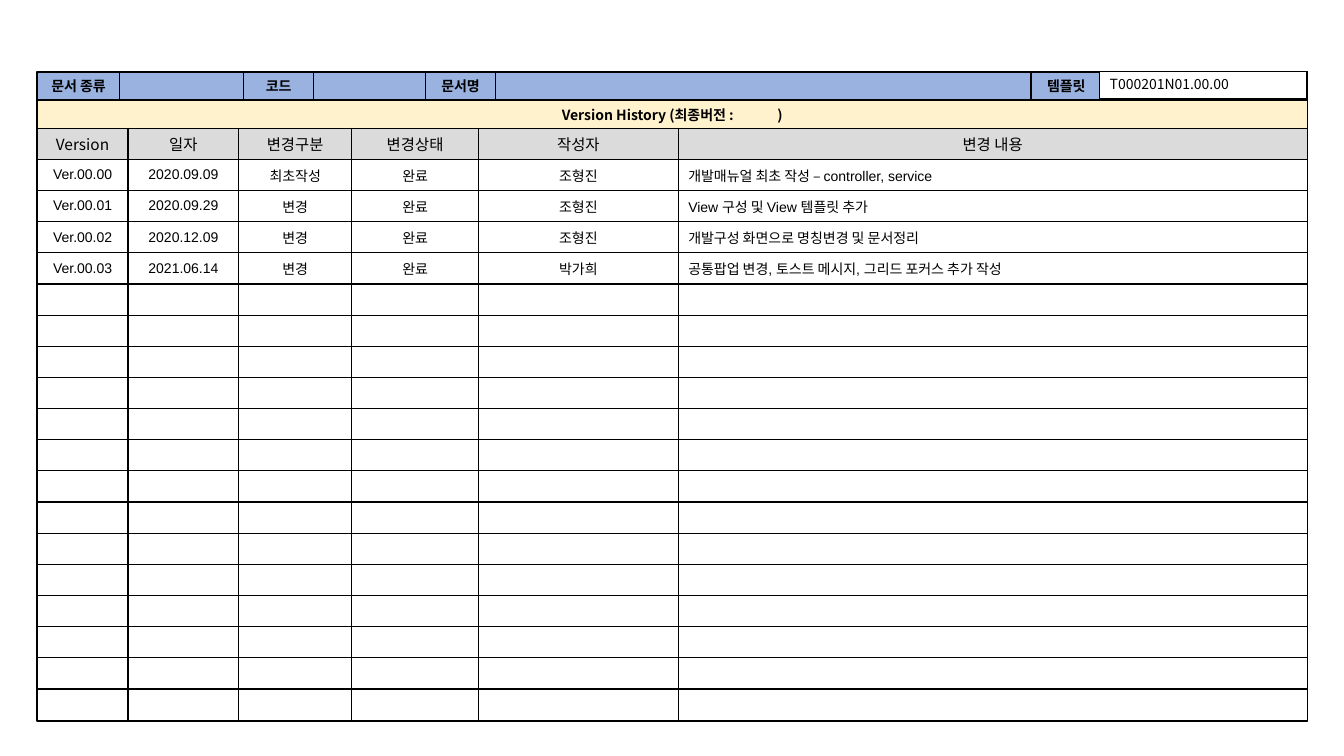
from dataclasses import dataclass
from lxml import etree
from pptx import Presentation
from pptx import util as u
from pptx.dml.color import RGBColor
from pptx.enum import shapes, text
from pptx.oxml.ns import qn


@dataclass(frozen=True)
class Theme:
    ink: str = "000000"
    paper: str = "FFFFFF"
    frame: str = "E5F8FF"
    label: str = "99B2DF"
    banner: str = "FFF2CC"
    heading: str = "DBDBDB"
    korean: str = "Noto Sans CJK KR"
    latin: str = "Arial"
    body_size: float = 10
    heading_size: float = 11
    line: float = 1
    thin_line: float = 0.75


class Sheet:
    """Draws styled boxes and tables on one slide."""

    def __init__(self, slide, theme):
        self.slide, self.theme = slide, theme

    def add_runs(self, p, content, font, size, bold=False, gap=0):
        for part in content if isinstance(content, tuple) else (content,):
            r = p.add_run()
            r.text = part
            r.font.name, r.font.size, r.font.bold = font, u.Pt(size), bold
            r.font.color.rgb = RGBColor.from_string(self.theme.ink)
            rpr = r._r.get_or_add_rPr()
            latin = rpr.find(qn("a:latin"))
            latin.addnext(etree.Element(qn("a:ea"), typeface=self.theme.korean))
            if part == " ":
                rpr.set("spc", str(gap * 100))

    def box(self, left, top, width, height, fill, line, content=None):
        sp = self.slide.shapes.add_shape(
            shapes.MSO_SHAPE.RECTANGLE, *map(u.Pt, (left, top, width, height)))
        sp.shadow.inherit = False
        sp.fill.solid()
        sp.fill.fore_color.rgb = RGBColor.from_string(fill)
        sp.line.color.rgb = RGBColor.from_string(self.theme.ink)
        sp.line.width = u.Pt(line)
        if content:
            tf = sp.text_frame
            tf.word_wrap = True
            tf.vertical_anchor = text.MSO_ANCHOR.MIDDLE
            p = tf.paragraphs[0]
            p.alignment = text.PP_ALIGN.LEFT
            p.line_spacing = 0.9
            self.add_runs(p, content, self.theme.korean, self.theme.body_size)

    def border(self, cell):
        tcpr = cell._tc.get_or_add_tcPr()
        for side in ("a:lnL", "a:lnR", "a:lnT", "a:lnB"):
            ln = etree.SubElement(tcpr, qn(side), w=str(u.Pt(self.theme.line)))
            fill = etree.SubElement(ln, qn("a:solidFill"))
            etree.SubElement(fill, qn("a:srgbClr"), val=self.theme.ink)

    def cell(self, cell, content, fill, left_aligned, **style):
        self.border(cell)
        cell.fill.solid()
        cell.fill.fore_color.rgb = RGBColor.from_string(fill)
        cell.margin_top = cell.margin_bottom = 0
        cell.vertical_anchor = text.MSO_ANCHOR.MIDDLE
        p = cell.text_frame.paragraphs[0]
        p.alignment = text.PP_ALIGN.LEFT if left_aligned else text.PP_ALIGN.CENTER
        if content:
            self.add_runs(p, content, **style)
        else:
            etree.SubElement(p._p, qn("a:endParaRPr"), sz=str(style["size"] * 100))

    def table(self, left, top, widths, row_height, rows, styles, left_column=None):
        frame = self.slide.shapes.add_table(
            len(rows), len(widths), u.Pt(left), u.Pt(top),
            u.Pt(sum(widths)), u.Pt(row_height * len(rows)))
        table = frame.table
        table.first_row = table.horz_banding = False
        for column, width in zip(table.columns, widths):
            column.width = u.Pt(width)
        for i, (row, style) in enumerate(zip(rows, styles)):
            table.rows[i].height = u.Pt(row_height)
            for j, content in enumerate(row):
                self.cell(table.cell(i, j), content,
                          left_aligned=i > 0 and j == left_column, **style)


LEFT, TOP, WIDTH = 26.6, 51.4, 907.2
BANNER_TOP, HISTORY_TOP, ROW_HEIGHT, ROW_COUNT = 71.4, 91.6, 22.28, 19
LABEL_WIDTHS = [59, 88.6, 49.7, 79.9, 50.4, 382.3, 50.4, 146.9]
HISTORY_WIDTHS = [64.8, 79.2, 80.6, 90.7, 142.6, 449.3]

LABELS = ["문서 종류", "", "코드", "", "문서명", "", "템플릿", ""]
BANNER = ("Version History (최종버전 :", " ", ")")
HEADINGS = ["Version", "일자", "변경구분", "변경상태", "작성자", "변경 내용"]
HISTORY = [
    ["Ver.00.00", "2020.09.09", "최초작성", "완료", "조형진",
     "개발매뉴얼 최초 작성 – controller, service"],
    ["Ver.00.01", "2020.09.29", "변경", "완료", "조형진",
     "View 구성 및 View 템플릿 추가"],
    ["Ver.00.02", "2020.12.09", "변경", "완료", "조형진",
     "개발구성 화면으로 명칭변경 및 문서정리"],
    ["Ver.00.03", "2021.06.14", "변경", "완료", "박가희",
     "공통팝업 변경, 토스트 메시지, 그리드 포커스 추가 작성"],
]


def main():
    prs = Presentation()
    prs.slide_width, prs.slide_height = u.Pt(960), u.Pt(540)
    theme = Theme()
    s = Sheet(prs.slides.add_slide(prs.slide_layouts[6]), theme)

    bold = dict(font=theme.korean, size=theme.body_size, bold=True)
    heading = dict(fill=theme.heading, font=theme.korean, size=theme.heading_size)
    entry = dict(fill=theme.paper, font=theme.latin, size=theme.body_size)
    blanks = [[""] * len(HEADINGS)] * (ROW_COUNT - 1 - len(HISTORY))

    s.box(LEFT, TOP, WIDTH, 463.6, theme.frame, theme.line)
    s.table(LEFT, TOP, LABEL_WIDTHS, 20, [LABELS], [dict(bold, fill=theme.label)])
    s.table(LEFT, BANNER_TOP, [WIDTH], HISTORY_TOP - BANNER_TOP, [[BANNER]],
            [dict(bold, fill=theme.banner, gap=29)])
    s.box(785.6, TOP, 147.8, 19.2, theme.paper, theme.thin_line, "T000201N01.00.00")
    s.table(LEFT, HISTORY_TOP, HISTORY_WIDTHS, ROW_HEIGHT,
            [HEADINGS, *HISTORY, *blanks], [heading] + [entry] * (ROW_COUNT - 1),
            left_column=len(HEADINGS) - 1)
    prs.save("out.pptx")


if __name__ == "__main__":
    main()
